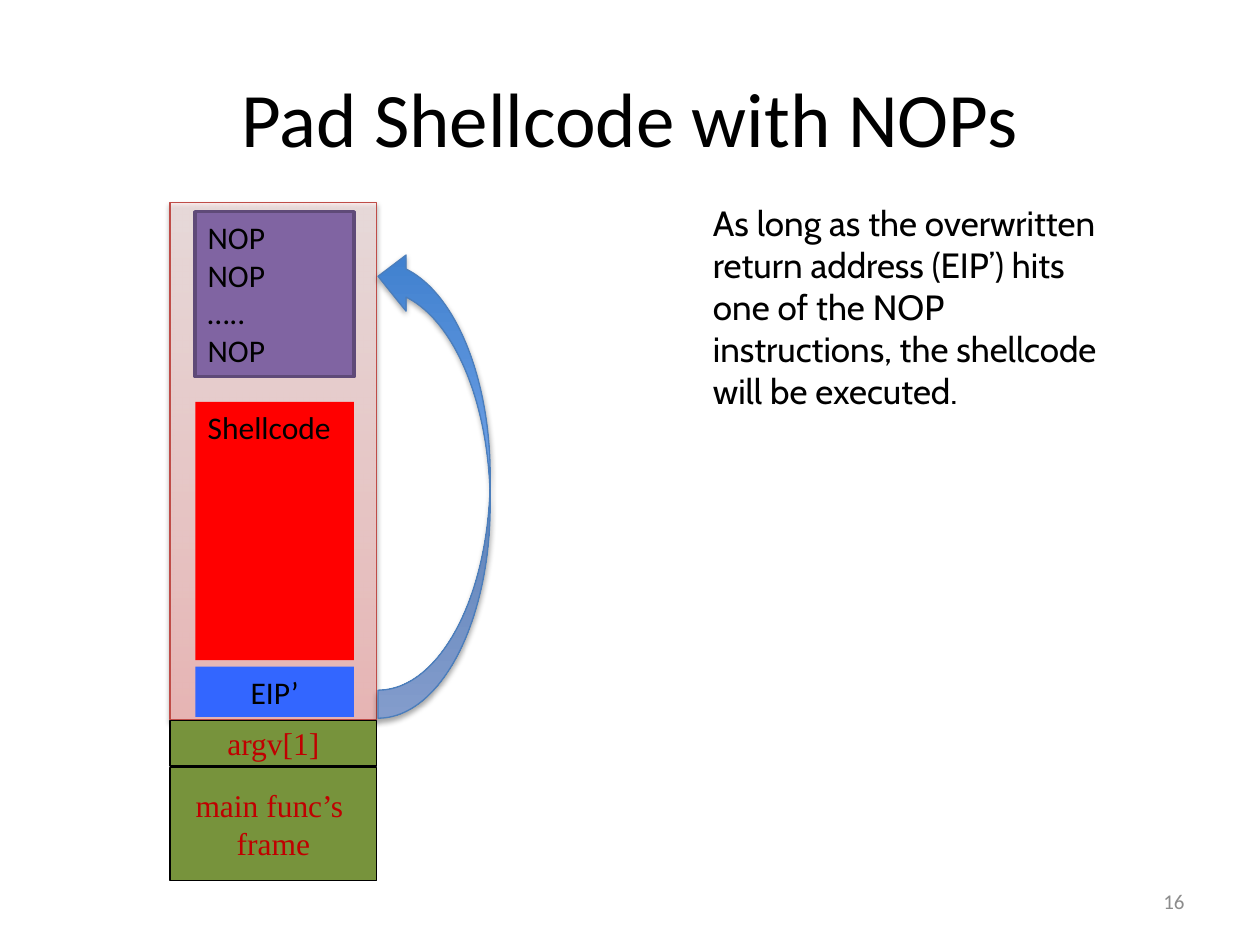
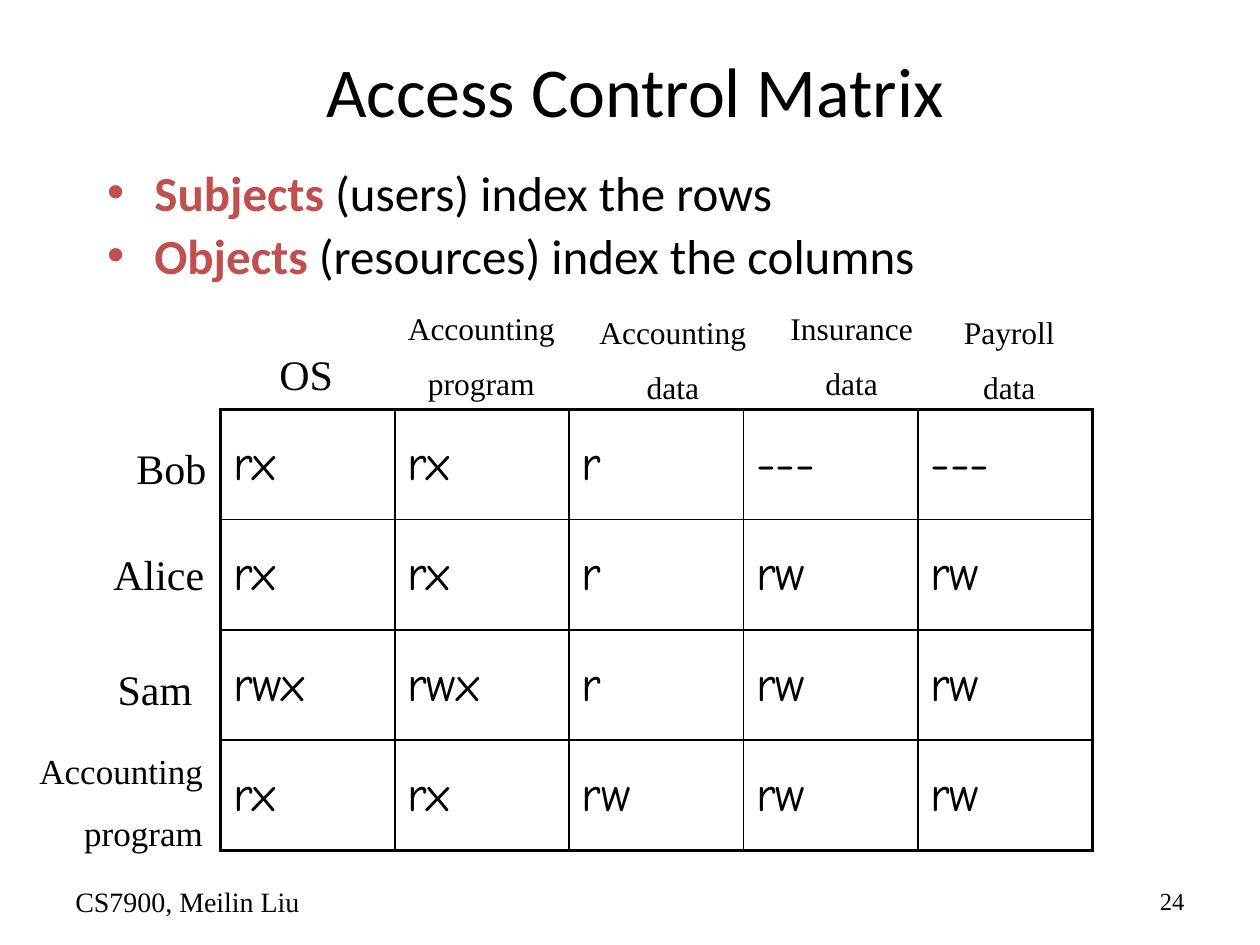
from dataclasses import dataclass

from lxml import etree
from pptx import Presentation
from pptx.dml.color import RGBColor
from pptx.enum.shapes import MSO_SHAPE
from pptx.enum.text import MSO_ANCHOR, MSO_AUTO_SIZE, PP_ALIGN
from pptx.oxml.ns import qn
from pptx.util import Inches, Pt

RECTANGLE, CURVED_ARROW = MSO_SHAPE.RECTANGLE, MSO_SHAPE.CURVED_LEFT_ARROW
TOP, MIDDLE = MSO_ANCHOR.TOP, MSO_ANCHOR.MIDDLE
LEFT, CENTER, RIGHT = PP_ALIGN.LEFT, PP_ALIGN.CENTER, PP_ALIGN.RIGHT
NO_AUTOFIT = MSO_AUTO_SIZE.NONE
TITLE_AND_BODY, TITLE_ONLY = 1, 5


@dataclass(frozen=True)
class Theme:
    sans: str = "Calibri"
    serif: str = "Times New Roman"
    note: str = "Cabin"
    hand: str = "Comic Neue"
    black: str = "000000"
    gray: str = "8C8C8C"
    accent: str = "C0504D"
    dark_red: str = "C00000"
    green: str = "77933C"
    blue: str = "3366FF"
    red: str = "FF0000"
    purple: str = "8064A2"
    purple_line: str = "5F4A78"
    buffer_line: str = "BF4C48"
    arrow_line: str = "4B7EBC"
    buffer_stops: tuple = ((0, "FFA6A5", 56), (35, "FFC0BF", 56), (100, "FFE7E7", 56))
    arrow_stops: tuple = ((0, "3F80CE", 100), (100, "A4C4FF", 100))
    label: int = 18
    note_size: int = 20
    bullet: int = 28
    heading: int = 24


THEME = Theme()


# Shared helpers
def place(shape, box):
    shape.left, shape.top, shape.width, shape.height = (Inches(v) for v in box)


def style_font(font, name, size, color, bold=False):
    font.name, font.size, font.bold = name, Pt(size), bold
    font.color.rgb = RGBColor.from_string(color)


def write(frame, lines, font, size, color=THEME.black, align=LEFT,
          anchor=TOP, wrap=True, gap=0):
    """Fill a text frame; gap is the space between its paragraphs."""
    frame.text = "\n".join(lines)
    frame.word_wrap = wrap
    frame.auto_size = NO_AUTOFIT
    frame.vertical_anchor = anchor
    for index, para in enumerate(frame.paragraphs):
        para.alignment = align
        if index and gap:
            para.space_before = Pt(gap)
        for span in para.runs:
            style_font(span.font, font, size, color)


def add_text(page, box, lines, font, size, **options):
    shape = page.shapes.add_textbox(*(Inches(v) for v in box))
    write(shape.text_frame, lines, font, size, **options)


def add_block(page, box, fill=None, line=None, line_width=0.75, kind=RECTANGLE):
    shape = page.shapes.add_shape(kind, *(Inches(v) for v in box))
    shape.shadow.inherit = False
    if fill:
        shape.fill.solid()
        shape.fill.fore_color.rgb = RGBColor.from_string(fill)
    if line:
        shape.line.color.rgb = RGBColor.from_string(line)
        shape.line.width = Pt(line_width)
    else:
        shape.line.fill.background()
    return shape


def add_color(parent, color, opacity=100):
    node = etree.SubElement(parent, qn("a:srgbClr"), val=color)
    if opacity < 100:
        etree.SubElement(node, qn("a:alpha"), val=str(opacity * 1000))


def add_gradient(shape, stops):
    geometry = shape._element.spPr.find(qn("a:prstGeom"))
    gradient = etree.Element(qn("a:gradFill"), rotWithShape="1")
    stop_list = etree.SubElement(gradient, qn("a:gsLst"))
    for position, color, opacity in stops:
        stop = etree.SubElement(stop_list, qn("a:gs"), pos=str(position * 1000))
        add_color(stop, color, opacity)
    etree.SubElement(gradient, qn("a:lin"), ang=str(270 * 60000), scaled="0")
    geometry.addnext(gradient)


def add_shadow(shape, opacity):
    effects = shape._element.spPr.find(qn("a:effectLst"))
    shadow = etree.SubElement(
        effects, qn("a:outerShdw"), blurRad=str(Pt(3.1)), dist=str(Pt(1.7)),
        dir=str(90 * 60000), rotWithShape="0")
    add_color(shadow, THEME.black, opacity)


def add_page(deck, layout, title, box, size):
    page = deck.slides.add_slide(deck.slide_layouts[layout])
    place(page.shapes.title, box)
    write(page.shapes.title.text_frame, [title], THEME.sans, size,
          align=CENTER, anchor=MIDDLE)
    return page


def add_page_number(page, number, font, size, color):
    add_text(page, (7.17, 6.95, 2.33, 0.4), [number], font, size, color=color,
             align=RIGHT, anchor=MIDDLE)


# Stack with the overflowed buffer
def draw_stack(page, box):
    left, top, width, height = box
    buffer = add_block(page, box, line=THEME.buffer_line)
    add_gradient(buffer, THEME.buffer_stops)
    add_shadow(buffer, 38)

    # Buffer contents
    contents = [
        (3.68, 0.4, ["EIP’"], THEME.blue, None, CENTER),
        (1.58, 2.05, ["Shellcode"], THEME.red, None, LEFT),
        (0.07, 1.31, ["NOP", "NOP", "…..", "NOP"], THEME.purple,
         THEME.purple_line, LEFT),
    ]
    for offset, block_height, lines, fill, line, align in contents:
        block = add_block(page, (left + 0.2, top + offset, 1.26, block_height),
                          fill, line, 2)
        write(block.text_frame, lines, THEME.sans, THEME.label, align=align)

    # Jump from the return address back into the NOPs
    arrow = add_block(page, (left + width + 0.01, top + 0.36, 0.89, 3.73),
                      line=THEME.arrow_line, kind=CURVED_ARROW)
    arrow.rotation = 180
    arrow._element.spPr.find(qn("a:xfrm")).set("flipH", "1")
    add_gradient(arrow, THEME.arrow_stops)
    add_shadow(arrow, 35)

    # Caller's part of the stack
    bottom = top + height
    for offset, block_height, lines in [(0.38, 0.9, ["main func’s ", "frame"]),
                                        (0.01, 0.36, ["argv[1]"])]:
        block = add_block(page, (left, bottom + offset, width, block_height),
                          THEME.green, THEME.black)
        write(block.text_frame, lines, THEME.serif, THEME.label,
              color=THEME.dark_red, align=CENTER, anchor=MIDDLE, wrap=False)


def build_nop_page(deck):
    page = add_page(deck, TITLE_ONLY, "Pad Shellcode with NOPs",
                    (0.5, 0.3, 9, 1.25), 44)
    draw_stack(page, (1.35, 1.61, 1.64, 4.1))
    add_text(page, (5.56, 1.55, 3.47, 2.46),
             ["As long as the overwritten return address (EIP’) hits one of the "
              "NOP instructions, the shellcode will be executed."],
             THEME.note, THEME.note_size)
    add_page_number(page, "16", THEME.sans, 12, THEME.gray)


# Access control matrix
def set_border(cell, side, width):
    line = etree.SubElement(cell._tc.get_or_add_tcPr(), qn(f"a:ln{side}"),
                            w=str(Pt(width)))
    add_color(etree.SubElement(line, qn("a:solidFill")), THEME.black)


def draw_matrix(page, box, rights):
    row_count, column_count = len(rights), len(rights[0])
    table = page.shapes.add_table(row_count, column_count,
                                  *(Inches(v) for v in box)).table
    table.first_row = table.horz_banding = False
    for row, values in enumerate(rights):
        for column, value in enumerate(values):
            cell = table.cell(row, column)
            cell.text = value
            cell.vertical_anchor = MIDDLE
            style_font(cell.text_frame.paragraphs[0].runs[0].font,
                       THEME.hand, THEME.bullet, THEME.black)
            outer_sides = {"L": column == 0, "R": column == column_count - 1,
                           "T": row == 0, "B": row == row_count - 1}
            for side, outer in outer_sides.items():
                set_border(cell, side, 2.25 if outer else 1)
            cell.fill.background()


def draw_matrix_labels(page, box):
    left, top = box[:2]
    # Offsets from the corner of the matrix, then size, text size and alignment
    labels = [
        (0.33, -0.57, 0.7, 0.57, ["OS"], THEME.heading, CENTER),
        (1.33, -0.83, 1.48, 0.8, ["Accounting", "program"], THEME.label, CENTER),
        (2.85, -0.8, 1.48, 0.8, ["Accounting", "data"], THEME.label, CENTER),
        (4.33, -0.83, 1.36, 0.8, ["Insurance", "data"], THEME.label, CENTER),
        (5.77, -0.8, 0.98, 0.8, ["Payroll", "data"], THEME.label, CENTER),
        (-0.78, 0.18, 0.78, 0.57, ["Bob"], THEME.heading, CENTER),
        (-0.98, 1.02, 0.98, 0.57, ["Alice"], THEME.heading, CENTER),
        (-0.95, 1.93, 0.86, 0.57, ["Sam"], THEME.heading, CENTER),
        (-1.67, 2.67, 1.63, 0.88, ["Accounting", "program"], 20, RIGHT),
    ]
    for across, down, width, height, lines, size, align in labels:
        add_text(page, (left + across, top + down, width, height), lines,
                 THEME.serif, size, align=align, anchor=MIDDLE, wrap=False,
                 gap=round(size * 0.55))


def fill_index_list(body, box):
    place(body, box)
    frame = body.text_frame
    frame.auto_size = NO_AUTOFIT
    items = [("Subjects", " (users) index the rows"),
             ("Objects", " (resources) index the columns")]
    for index, (term, explanation) in enumerate(items):
        para = frame.add_paragraph() if index else frame.paragraphs[0]
        para.line_spacing = 0.8
        para.space_before = Pt(9 if index else 0)
        for text, color, bold in [(term, THEME.accent, True),
                                  (explanation, THEME.black, False)]:
            span = para.add_run()
            span.text = text
            style_font(span.font, THEME.sans, THEME.bullet, color, bold)


def build_matrix_page(deck):
    page = add_page(deck, TITLE_AND_BODY, "Access Control Matrix",
                    (0.33, 0.25, 9.42, 0.92), 40)
    fill_index_list(page.placeholders[1], (0.75, 1.33, 8.75, 1.08))
    matrix_box = (1.75, 3.25, 6.92, 3.5)
    draw_matrix(page, matrix_box, [
        ["rx", "rx", "r", "---", "---"],
        ["rx", "rx", "r", "rw", "rw"],
        ["rwx", "rwx", "r", "rw", "rw"],
        ["rx", "rx", "rw", "rw", "rw"],
    ])
    draw_matrix_labels(page, matrix_box)
    add_text(page, (0.5, 6.95, 2.33, 0.4), ["CS7900, Meilin Liu"],
             THEME.serif, 16, anchor=MIDDLE)
    add_page_number(page, "24", THEME.serif, 14, THEME.black)


def main():
    deck = Presentation()
    deck.slide_width, deck.slide_height = Inches(10), Inches(7.5)
    build_nop_page(deck)
    build_matrix_page(deck)
    deck.save("out.pptx")


if __name__ == "__main__":
    main()
